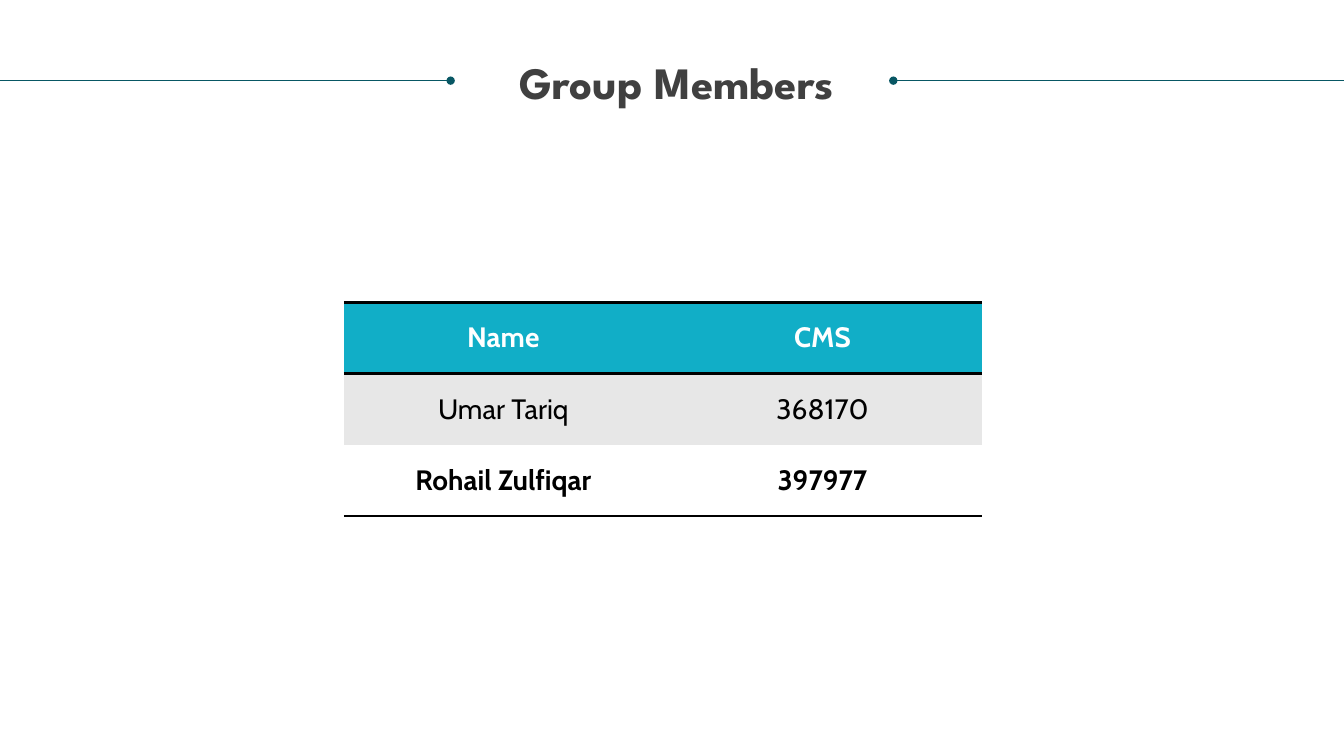
"""Build the Group Members slide with a title, two side rules and a table."""
from dataclasses import dataclass

import pptx
import pptx.dml.color
import pptx.enum.shapes
import pptx.enum.text
import pptx.oxml
import pptx.oxml.ns
import pptx.util
from pptx.util import Inches

WHITE, BLACK, TEAL = "FFFFFF", "000000", "085764"
RULE_Y = 0.8
NAMESPACE = pptx.oxml.ns.nsdecls("a")


@dataclass
class Rule:
    start: float
    end: float
    dot_end: str


@dataclass
class Row:
    texts: tuple[str, ...]
    fill: str
    color: str = BLACK
    bold: bool = False
    edges: str = ""


RULES = [Rule(8.86, 13.33, "headEnd"), Rule(0, 4.47, "tailEnd")]
ROWS = [
    Row(("Name", "CMS"), "11AEC7", color=WHITE, bold=True, edges="TB"),
    Row(("Umar Tariq", "368170"), "E7E7E7", edges="T"),
    Row(("Rohail Zulfiqar", "397977"), WHITE, bold=True, edges="B"),
]


def rgb(value: str) -> pptx.dml.color.RGBColor:
    """Turn a hex string into a colour."""
    return pptx.dml.color.RGBColor.from_string(value)


def write_text(frame, text: str, *, font: str, size: float, color: str,
               bold: bool = False, spacing: float = 1.0) -> None:
    """Write one centred paragraph into a text frame."""
    para = frame.paragraphs[0]
    para.alignment = pptx.enum.text.PP_ALIGN.CENTER
    para.line_spacing = spacing
    span = para.add_run()
    span.text = text
    span.font.name = font
    span.font.size = pptx.util.Pt(size)
    span.font.bold = bold
    span.font.color.rgb = rgb(color)


def add_title(page, text: str) -> None:
    """Add the slide title."""
    box = page.shapes.add_textbox(Inches(0.3), Inches(0.6), Inches(12.83), Inches(0.91))
    frame = box.text_frame
    frame.word_wrap = True
    frame.margin_left = frame.margin_right = frame.margin_top = frame.margin_bottom = 0
    write_text(frame, text, font="League Spartan", size=32, color="404040",
               bold=True, spacing=0.9)


def add_rule(page, rule: Rule) -> None:
    """Add a horizontal rule with a dot at its inner end."""
    line = page.shapes.add_connector(
        pptx.enum.shapes.MSO_CONNECTOR.STRAIGHT,
        Inches(rule.start), Inches(RULE_Y), Inches(rule.end), Inches(RULE_Y))
    line.line.color.rgb = rgb(TEAL)
    line.line.width = pptx.util.Pt(0.5)
    line.line._get_or_add_ln().append(
        pptx.oxml.parse_xml(f'<a:{rule.dot_end} {NAMESPACE} type="oval"/>'))
    line._element.spPr.append(pptx.oxml.parse_xml(f"<a:effectLst {NAMESPACE}/>"))


def set_borders(cell, edges: str) -> None:
    """Draw the named edges of a cell in black and clear the others."""
    properties = cell._tc.get_or_add_tcPr()
    for index, edge in enumerate("LRTB"):
        paint = (f'<a:solidFill><a:srgbClr val="{BLACK}"/></a:solidFill>'
                 if edge in edges else "<a:noFill/>")
        properties.insert(index, pptx.oxml.parse_xml(
            f'<a:ln{edge} {NAMESPACE} w="{pptx.util.Pt(2)}">{paint}</a:ln{edge}>'))


def add_members(page, rows: list[Row]) -> None:
    """Add the table of group members."""
    table = page.shapes.add_table(
        len(rows), len(rows[0].texts),
        Inches(3.41), Inches(3), Inches(6.33), Inches(2.12)).table
    table.first_row = table.horz_banding = False
    for row_index, row in enumerate(rows):
        for column_index, text in enumerate(row.texts):
            cell = table.cell(row_index, column_index)
            cell.vertical_anchor = pptx.enum.text.MSO_ANCHOR.MIDDLE
            cell.fill.solid()
            cell.fill.fore_color.rgb = rgb(row.fill)
            set_borders(cell, row.edges)
            write_text(cell.text_frame, text, font="Cabin", size=20,
                       color=row.color, bold=row.bold)


def main() -> None:
    """Build and save the deck."""
    deck = pptx.Presentation()
    deck.slide_width, deck.slide_height = Inches(13.33), Inches(7.5)
    page = deck.slides.add_slide(deck.slide_layouts[6])
    add_title(page, "Group Members")
    for rule in RULES:
        add_rule(page, rule)
    add_members(page, ROWS)
    deck.save("out.pptx")


if __name__ == "__main__":
    main()
